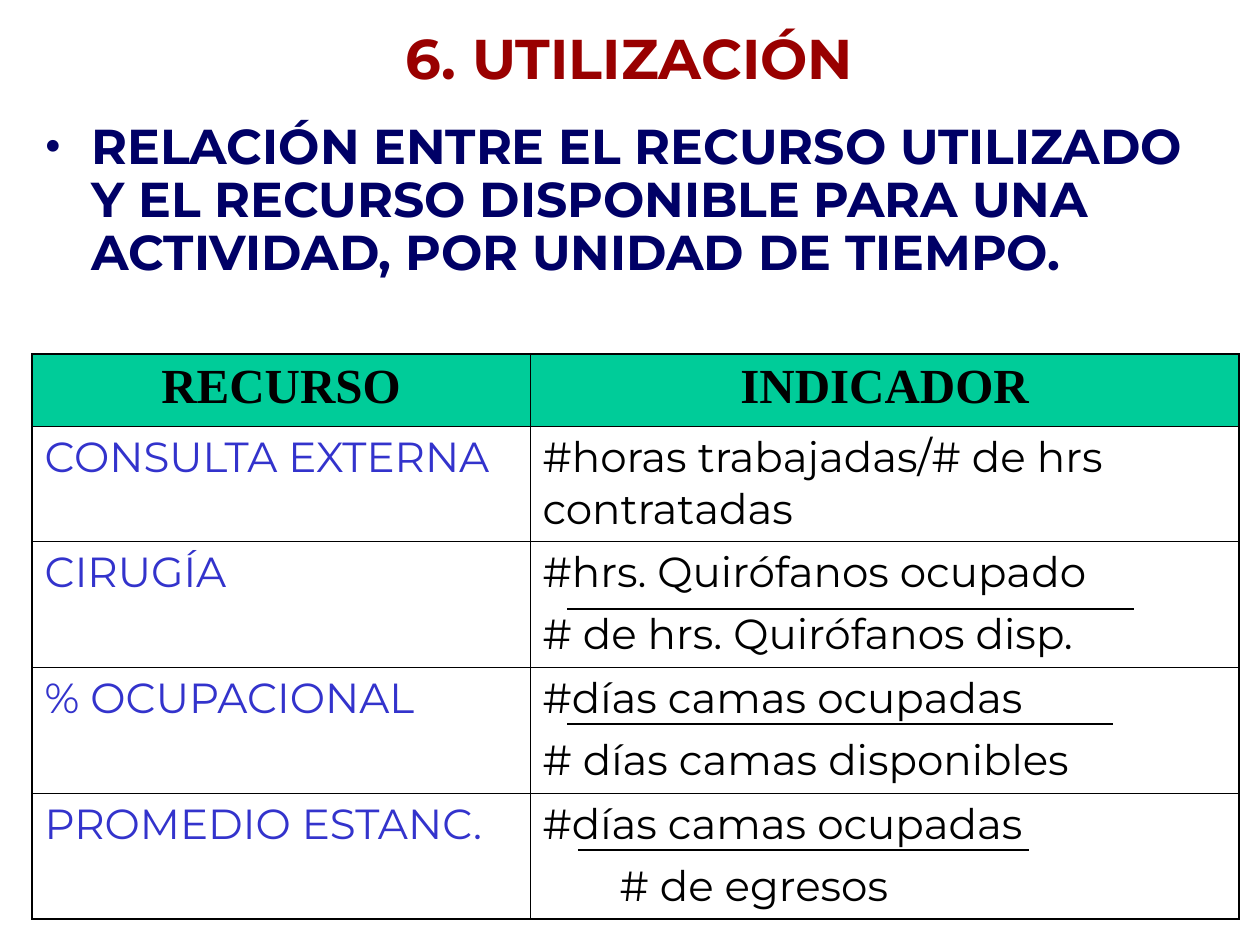
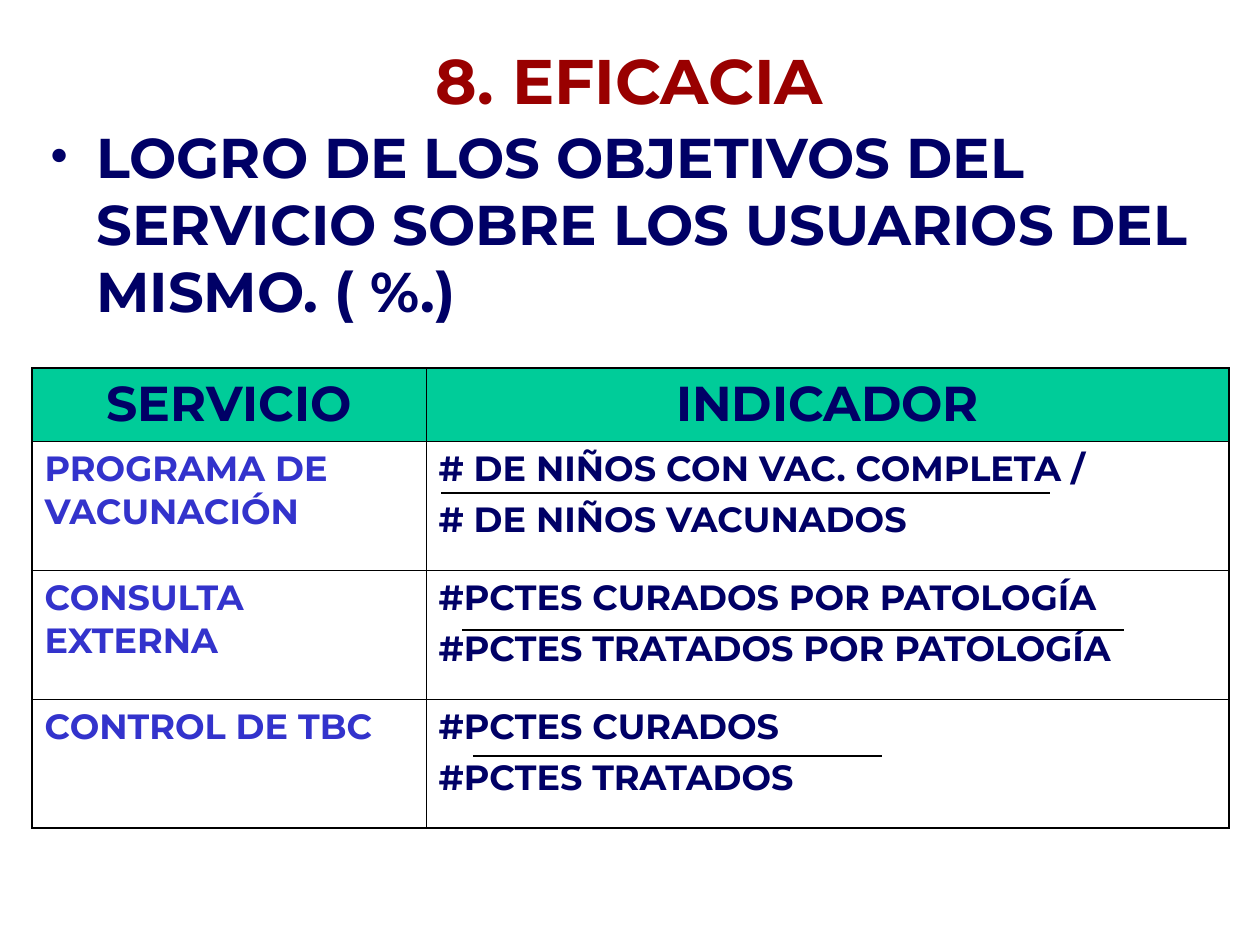
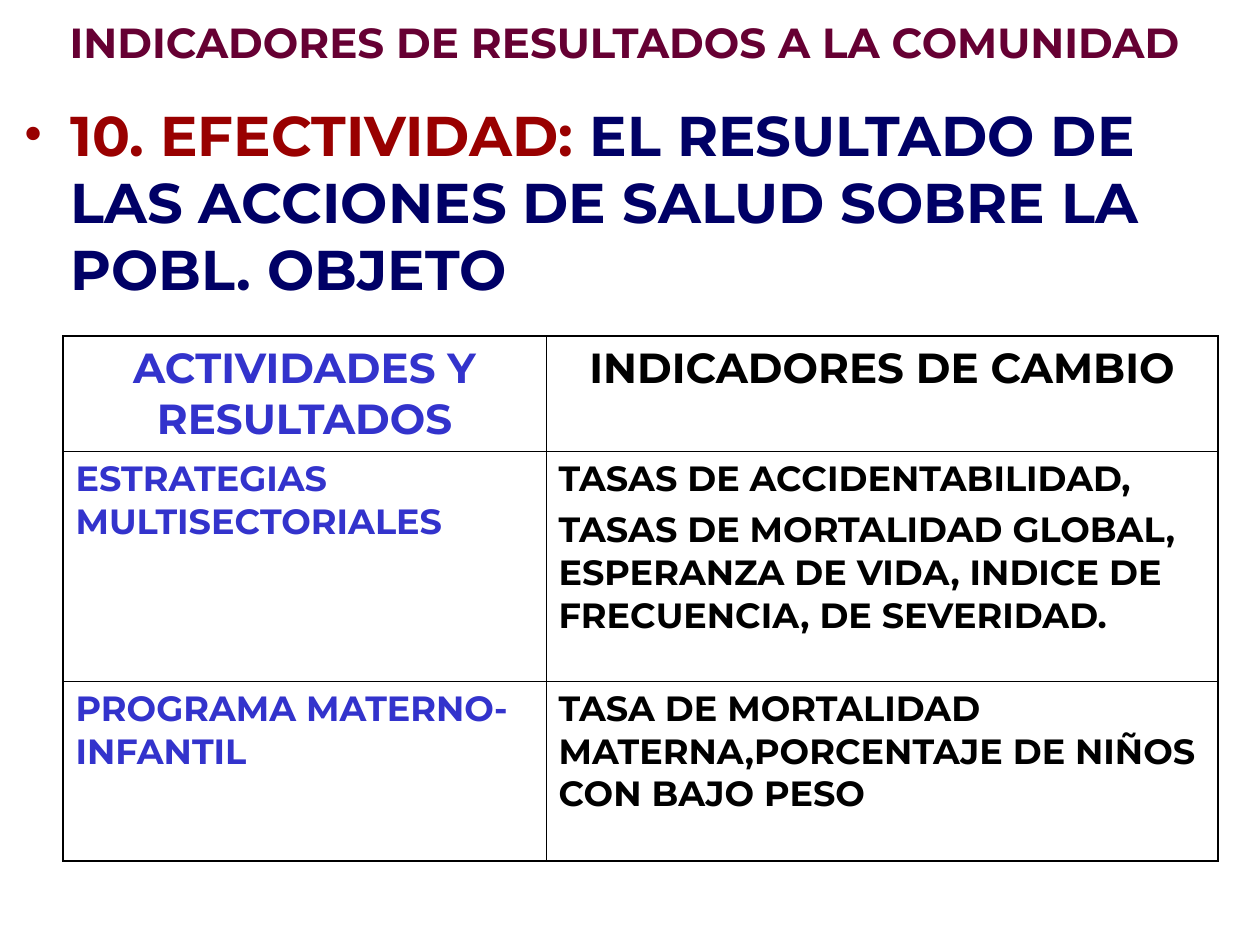
from lxml import etree
from pptx import Presentation
from pptx import util as u
from pptx.dml.color import RGBColor
from pptx.enum import shapes, text
from pptx.oxml import ns

PX = 914400 / 126
SANS, SERIF = "Montserrat", "Times New Roman"
BLACK, NAVY, BLUE = "000000", "000066", "3333CC"
RED, WINE, GREEN = "990000", "660033", "00CC99"
OUTER, INNER = 1.08, 0.45

# box: left, top, width, height; rule: left, right, top
# a cell is a list of lines, each a string or (string, indent)
SLIDES = [
    dict(
        title=("6. UTILIZACIÓN", 32, RED, (94, 10, 1071, 94)),
        body=([("RELACIÓN ENTRE EL RECURSO UTILIZADO Y EL RECURSO DISPONIBLE "
                "PARA UNA ACTIVIDAD, POR UNIDAD DE TIEMPO.", NAVY)],
              28, 0.9, (32, 116, 1207, 231)),
        place=(32, 354), cols=(498, 709), rows=(72, 115, 126, 126, 126),
        head=dict(size=28, font=SERIF, inks=(BLACK, BLACK), fill=GREEN),
        cell=dict(size=24, bold=False, inks=(BLUE, BLACK), gap=6),
        data=[
            (["RECURSO"], ["INDICADOR"]),
            (["CONSULTA EXTERNA"], ["#horas trabajadas/# de hrs contratadas"]),
            (["CIRUGÍA"],
             ["#hrs. Quirófanos ocupado", "# de hrs. Quirófanos disp."]),
            (["% OCUPACIONAL"],
             ["#días camas ocupadas", "# días camas disponibles"]),
            (["PROMEDIO ESTANC."],
             ["#días camas ocupadas", ("# de egresos", 77)]),
        ],
        rules=[(567, 1134, 609), (567, 1113, 724), (578, 1029, 850)],
    ),
    dict(
        title=("8. EFICACIA", 36, RED, (94, 21, 1071, 116)),
        body=([("LOGRO DE LOS OBJETIVOS DEL SERVICIO SOBRE LOS USUARIOS DEL "
                "MISMO. ( %.)", NAVY)], 32, 1.0, (37, 116, 1172, 220)),
        place=(32, 368), cols=(394, 803), rows=(73, 129, 129, 129),
        head=dict(size=28, inks=(NAVY, NAVY), fill=GREEN),
        cell=dict(size=20, inks=(BLUE, NAVY), gap=5),
        data=[
            (["SERVICIO"], ["INDICADOR"]),
            (["PROGRAMA DE VACUNACIÓN"],
             ["# DE NIÑOS CON VAC. COMPLETA /", "# DE NIÑOS VACUNADOS"]),
            (["CONSULTA EXTERNA"],
             ["#PCTES CURADOS POR PATOLOGÍA", "#PCTES TRATADOS POR PATOLOGÍA"]),
            (["CONTROL DE TBC"], ["#PCTES CURADOS", "#PCTES TRATADOS"]),
        ],
        rules=[(441, 1050, 493), (462, 1124, 630), (473, 882, 756)],
    ),
    dict(
        title=("INDICADORES DE RESULTADOS A LA COMUNIDAD", 24, WINE,
               (21, 10, 1207, 63)),
        body=([("10. EFECTIVIDAD: ", RED),
               ("EL RESULTADO DE LAS ACCIONES DE SALUD SOBRE LA POBL. OBJETO",
                NAVY)], 32, 1.0, (11, 94, 1217, 220)),
        place=(63, 336), cols=(483, 672), rows=(115, 230, 180),
        head=dict(size=24, inks=(BLUE, BLACK)),
        cell=dict(size=20, inks=(BLUE, BLACK), gap=5),
        data=[
            (["ACTIVIDADES Y RESULTADOS"], ["INDICADORES DE CAMBIO"]),
            (["ESTRATEGIAS MULTISECTORIALES"],
             ["TASAS DE ACCIDENTABILIDAD,",
              "TASAS DE MORTALIDAD GLOBAL, ESPERANZA DE VIDA, INDICE DE "
              "FRECUENCIA, DE SEVERIDAD."]),
            (["PROGRAMA MATERNO-INFANTIL"],
             ["TASA DE MORTALIDAD MATERNA,PORCENTAJE DE NIÑOS CON BAJO PESO"]),
        ],
        rules=[],
    ),
]


def px(n):
    return u.Emu(round(n * PX))


def rgb(ink):
    return RGBColor.from_string(ink)


def sub(node, tag, **attrs):
    return etree.SubElement(node, ns.qn(tag), attrs)


def style(run, size, ink, font=SANS, bold=True):
    run.font.size = u.Pt(size)
    run.font.name = font
    run.font.bold = bold
    run.font.color.rgb = rgb(ink)


def add_box(slide, box):
    frame = slide.shapes.add_textbox(*map(px, box)).text_frame
    frame.word_wrap = True
    return frame


def add_title(slide, words, size, ink, box):
    frame = add_box(slide, box)
    frame.vertical_anchor = text.MSO_ANCHOR.MIDDLE
    frame.text = words
    para = frame.paragraphs[0]
    para.alignment = text.PP_ALIGN.CENTER
    style(para.runs[0], size, ink)


def add_body(slide, parts, size, pitch, box):
    para = add_box(slide, box).paragraphs[0]
    props = para._p.get_or_add_pPr()
    props.set("marL", str(px(47)))
    props.set("indent", str(px(-47)))
    sub(sub(props, "a:buClr"), "a:srgbClr", val=parts[0][1])
    sub(props, "a:buFont", typeface=SERIF)
    sub(props, "a:buChar", char="•")
    para.line_spacing = pitch
    for words, ink in parts:
        run = para.add_run()
        run.text = words
        style(run, size, ink)


def edge(cell, widths):
    """Draw the left, right, top and bottom borders of a cell."""
    props = cell._tc.get_or_add_tcPr()
    for i, (side, width) in enumerate(zip("LRTB", widths)):
        line = etree.Element(ns.qn("a:ln" + side), w=str(u.Pt(width)))
        sub(sub(line, "a:solidFill"), "a:srgbClr", val=BLACK)
        props.insert(i, line)


def fill_cell(cell, lines, ink, size, font=SANS, bold=True, fill=None,
              gap=0, align=text.PP_ALIGN.LEFT):
    pairs = [(x, 0) if isinstance(x, str) else x for x in lines]
    frame = cell.text_frame
    frame.text = "\n".join(words for words, _ in pairs)
    for i, (para, (_, indent)) in enumerate(zip(frame.paragraphs, pairs)):
        para.alignment = align
        if indent:
            para._p.get_or_add_pPr().set("marL", str(px(indent)))
        if i:
            para.space_before = u.Pt(gap)
        style(para.runs[0], size, ink, font, bold)
    if fill:
        cell.fill.solid()
        cell.fill.fore_color.rgb = rgb(fill)
    else:
        cell.fill.background()


def add_grid(slide, place, cols, rows, head, cell, data):
    size = sum(cols), sum(rows)
    grid = slide.shapes.add_table(len(rows), len(cols),
                                  *map(px, place + size)).table
    grid.first_row = grid.horz_banding = False
    for col, width in zip(grid.columns, cols):
        col.width = px(width)
    for row, height in zip(grid.rows, rows):
        row.height = px(height)
    for r, line in enumerate(data):
        look = dict(cell if r else head)
        inks = look.pop("inks")
        if r == 0:
            look["align"] = text.PP_ALIGN.CENTER
        for c, lines in enumerate(line):
            spot = grid.cell(r, c)
            fill_cell(spot, lines, inks[c], **look)
            outer = (c == 0, c == len(cols) - 1, r == 0, r == len(rows) - 1)
            edge(spot, [OUTER if side else INNER for side in outer])


def add_rule(slide, left, right, top):
    """Draw the bar of a fraction."""
    line = slide.shapes.add_connector(shapes.MSO_CONNECTOR.STRAIGHT,
                                      px(left), px(top), px(right), px(top))
    line.line.color.rgb = rgb(BLACK)
    line.line.width = u.Pt(0.75)
    sub(line._element.spPr, "a:effectLst")


def main():
    deck = Presentation()
    deck.slide_width, deck.slide_height = px(1260), px(945)
    for page in SLIDES:
        slide = deck.slides.add_slide(deck.slide_layouts[6])
        add_title(slide, *page["title"])
        add_body(slide, *page["body"])
        add_grid(slide, *(page[k] for k in
                          ("place", "cols", "rows", "head", "cell", "data")))
        for rule in page["rules"]:
            add_rule(slide, *rule)
    deck.save("out.pptx")


if __name__ == "__main__":
    main()
